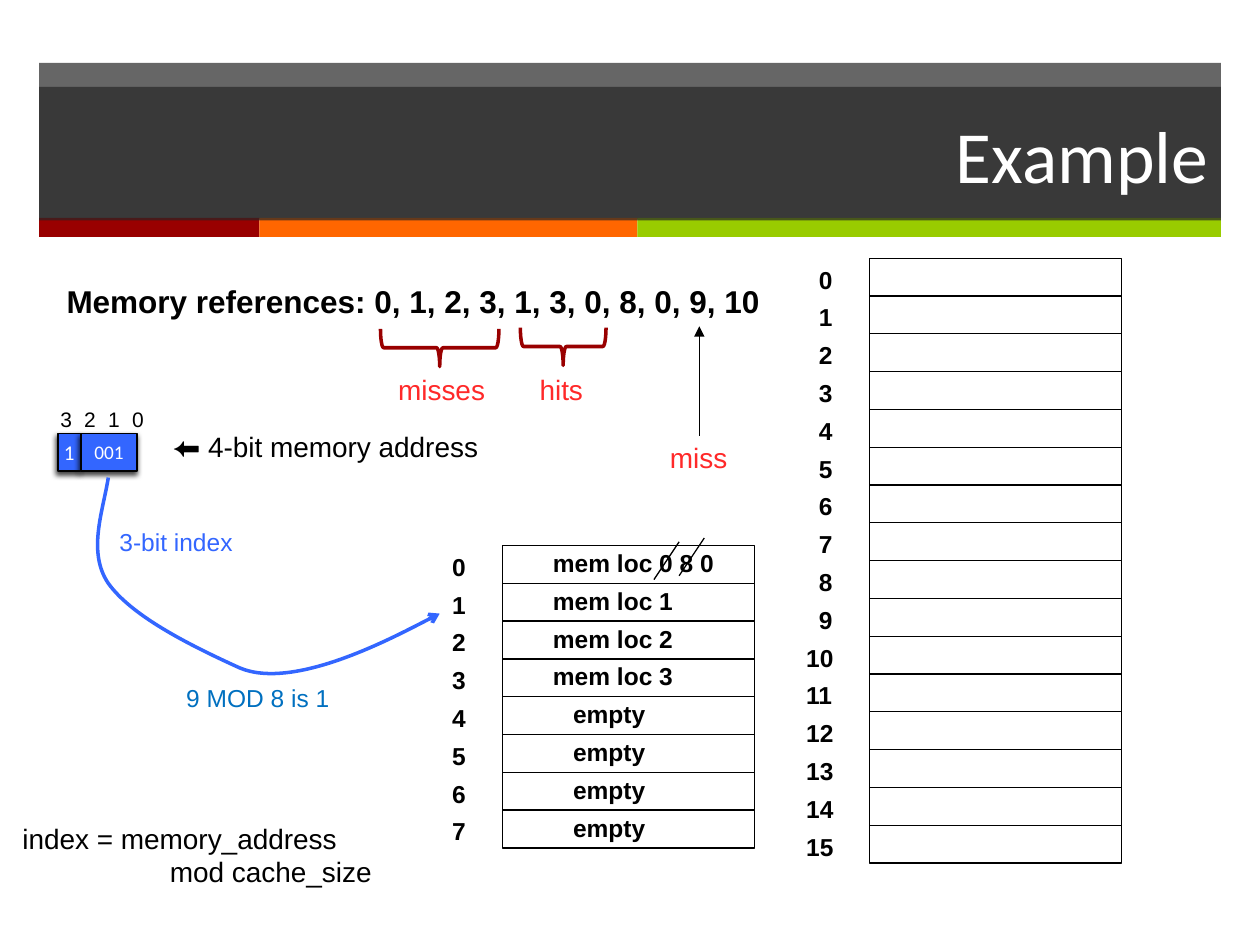
"""Builds the slide that traces memory references through a direct-mapped cache."""
from dataclasses import dataclass

from lxml.etree import SubElement
from pptx import Presentation
from pptx.dml.color import RGBColor
from pptx.enum.shapes import MSO_CONNECTOR, MSO_SHAPE
from pptx.enum.text import MSO_ANCHOR, MSO_AUTO_SIZE, PP_ALIGN
from pptx.oxml.ns import qn
from pptx.util import Inches, Pt

BLACK = RGBColor(0x00, 0x00, 0x00)
WHITE = RGBColor(0xFF, 0xFF, 0xFF)
CHARCOAL = RGBColor(0x26, 0x26, 0x26)
MAROON = RGBColor(0x99, 0x00, 0x00)
ORANGE = RGBColor(0xFF, 0x66, 0x00)
LIME = RGBColor(0x99, 0xCC, 0x00)
RED = RGBColor(0xFF, 0x29, 0x29)
BLUE = RGBColor(0x33, 0x66, 0xFF)
TEAL = RGBColor(0x00, 0x70, 0xC0)

ROW_HEIGHT = 0.3
CELL_WIDTH = 2
CONTENT_WIDTH = 1.5
BIT_PITCH = 0.19


@dataclass
class Label:
    text: str
    left: float
    top: float
    width: float
    size: int = 14
    color: RGBColor = BLACK
    bold: bool = False
    align: PP_ALIGN = PP_ALIGN.LEFT
    wrap: bool = True


@dataclass
class Memory:
    left: float
    top: float
    rows: int


@dataclass
class Box:
    left: float
    top: float
    width: float
    height: float


CACHE = Memory(3.99, 4.33, 8)
MAIN_MEMORY = Memory(6.9, 2.05, 16)
CACHE_CONTENTS = ["mem loc 0 8 0", "mem loc 1", "mem loc 2", "mem loc 3"] + ["empty"] * 4
STRIPES = [(0.31, 1.75, MAROON), (2.06, 3, ORANGE), (5.06, 4.63, LIME)]
BITS = [("1", 0.46, 0.18, 12), ("001", 0.64, 0.45, 11)]
BRACES = [Box(3.34, 2.29, 0.3, 0.94), Box(4.32, 2.41, 0.3, 0.68)]
STRIKES = [(5.19, 4.6), (5.39, 4.57)]
INDEX_CURVE = [(0.86, 3.79), (0.82, 4.05), (0.69, 4.38), (0.86, 4.63), (1.04, 4.88),
               (1.46, 5.1), (1.9, 5.3), (2.34, 5.49), (3.49, 4.87), (3.49, 4.87)]
LABELS = [
    Label("Memory references: 0, 1, 2, 3, 1, 3, 0, 8, 0, 9, 10", 0.43, 2.19, 5.76, 18,
          bold=True, wrap=False),
    Label("misses", 3.02, 2.91, 0.97, 16, RED, align=PP_ALIGN.CENTER),
    Label("hits", 3.97, 2.91, 0.97, 16, RED, align=PP_ALIGN.CENTER),
    Label("miss", 5.06, 3.45, 0.97, 16, RED, align=PP_ALIGN.CENTER),
    Label("⬅ 4-bit memory address", 1.27, 3.36, 3.02, 16),
    Label("3-bit index", 0.85, 4.13, 3.13, color=BLUE),
    Label("9 MOD 8 is 1", 1.38, 5.37, 1.5, color=TEAL),
]


def add_label(shapes, label: Label):
    lines = label.text.split("\n")
    height = len(lines) * label.size * 1.2 / 72 + 0.1
    box = shapes.add_textbox(Inches(label.left), Inches(label.top),
                             Inches(label.width), Inches(height))
    frame = box.text_frame
    frame.word_wrap = label.wrap
    frame.auto_size = MSO_AUTO_SIZE.SHAPE_TO_FIT_TEXT
    frame.text = label.text
    for paragraph in frame.paragraphs:
        paragraph.alignment = label.align
    return box


def set_fonts(frame, size: int, color: RGBColor, name: str = "Arial", bold: bool = False):
    for paragraph in frame.paragraphs:
        paragraph.font.size = Pt(size)
        paragraph.font.name = name
        paragraph.font.bold = bold
        paragraph.font.color.rgb = color


def write(shapes, label: Label):
    box = add_label(shapes, label)
    set_fonts(box.text_frame, label.size, label.color, bold=label.bold)


def add_box(shapes, preset: MSO_SHAPE, box: Box, fill=None, line=None, width: float = 0.75):
    shape = shapes.add_shape(preset, Inches(box.left), Inches(box.top),
                             Inches(box.width), Inches(box.height))
    shape.shadow.inherit = False
    if fill is None:
        shape.fill.background()
    else:
        shape.fill.solid()
        shape.fill.fore_color.rgb = fill
    if line is None:
        shape.line.fill.background()
    else:
        shape.line.color.rgb = line
        shape.line.width = Pt(width)
    return shape


def set_alpha(shape, percent: int):
    color = shape.element.spPr.find(qn("a:solidFill")).find(qn("a:srgbClr"))
    SubElement(color, qn("a:alpha"), val=str(percent * 1000))


def add_arrowhead(shape, kind: str):
    SubElement(shape.element.spPr.find(qn("a:ln")), qn("a:tailEnd"), type=kind)


def add_line(shapes, start: tuple, end: tuple):
    line = shapes.add_connector(MSO_CONNECTOR.STRAIGHT, *map(Inches, start + end))
    line.line.color.rgb = BLACK
    line.line.width = Pt(0.75)
    SubElement(line.element.spPr, qn("a:effectLst"))
    return line


def add_header(slide):
    band = add_box(slide.shapes, MSO_SHAPE.RECTANGLE, Box(0.31, 0.5, 9.38, 1.24), CHARCOAL)
    set_alpha(band, 70)
    for left, width, color in STRIPES:
        add_box(slide.shapes, MSO_SHAPE.RECTANGLE, Box(left, 1.73, width, 0.15), color)
    title = slide.shapes.title
    title.left, title.top, title.width, title.height = map(Inches, (0.31, 0.69, 9.38, 1.06))
    title.fill.solid()
    title.fill.fore_color.rgb = CHARCOAL
    set_alpha(title, 70)
    frame = title.text_frame
    frame.text = "Example"
    frame.auto_size = MSO_AUTO_SIZE.NONE
    frame.vertical_anchor = MSO_ANCHOR.MIDDLE
    frame.paragraphs[0].alignment = PP_ALIGN.RIGHT
    set_fonts(frame, 42, WHITE, "Calibri")
    title.element.getparent().append(title.element)


def add_memory(shapes, memory: Memory):
    for row in range(memory.rows):
        top = memory.top + row * ROW_HEIGHT
        add_box(shapes, MSO_SHAPE.RECTANGLE,
                Box(memory.left, top, CELL_WIDTH, ROW_HEIGHT), line=BLACK)
        offset, width = (0.5, 0.31) if row < 10 else (0.6, 0.62)
        write(shapes, Label(str(row), memory.left - offset, top, width,
                            bold=True, wrap=row >= 10))


def add_address(shapes):
    for bits, left, width, size in BITS:
        field = add_box(shapes, MSO_SHAPE.RECTANGLE, Box(left, 3.44, width, 0.3), BLUE, BLACK, 1)
        shadow = SubElement(field.element.spPr.find(qn("a:effectLst")), qn("a:outerShdw"),
                            blurRad=str(Pt(3)), dist=str(Pt(2)), dir=str(110 * 60000))
        SubElement(SubElement(shadow, qn("a:srgbClr"), val="000000"), qn("a:alpha"), val="75000")
        frame = field.text_frame
        frame.margin_left = frame.margin_right = 0
        frame.vertical_anchor = MSO_ANCHOR.MIDDLE
        frame.text = bits
        frame.paragraphs[0].alignment = PP_ALIGN.CENTER
        set_fonts(frame, size, WHITE, "Calibri")
    positions = add_label(shapes, Label("3\t2\t1\t0", 0.38, 3.18, 1.08, 12)).text_frame
    stops = SubElement(positions.paragraphs[0]._p.get_or_add_pPr(), qn("a:tabLst"))
    for bit in range(1, 4):
        SubElement(stops, qn("a:tab"), pos=str(Inches(bit * BIT_PITCH)), algn="l")
    set_fonts(positions, 12, BLACK)


def add_formula(shapes):
    formula = add_label(shapes, Label("index = memory_address\nmod cache_size",
                                      0.08, 6.47, 3.13, 16)).text_frame
    formula.paragraphs[1]._p.get_or_add_pPr().set("marL", str(Inches(1.17)))
    set_fonts(formula, 16, BLACK)


def add_index_curve(shapes):
    points = [(Inches(x), Inches(y)) for x, y in INDEX_CURVE]
    builder = shapes.build_freeform(*points[0])
    builder.add_line_segments(points[1:], close=False)
    curve = builder.convert_to_shape()
    segments = list(curve.element.iter(qn("a:lnTo")))
    outline = segments[0].getparent()
    for start in range(0, len(segments), 3):
        bezier = SubElement(outline, qn("a:cubicBezTo"))
        for segment in segments[start:start + 3]:
            bezier.append(segment[0])
            outline.remove(segment)
    curve.shadow.inherit = False
    curve.fill.background()
    curve.line.color.rgb = BLUE
    curve.line.width = Pt(2)
    add_arrowhead(curve, "arrow")


def main():
    presentation = Presentation()
    presentation.slide_width, presentation.slide_height = Inches(10), Inches(7.5)
    slide = presentation.slides.add_slide(presentation.slide_layouts[5])
    shapes = slide.shapes
    add_header(slide)
    for memory in (CACHE, MAIN_MEMORY):
        add_memory(shapes, memory)
    for row, content in enumerate(CACHE_CONTENTS):
        left = 4.45 if content == "empty" else 4.29
        write(shapes, Label(content, left, CACHE.top - 0.03 + row * ROW_HEIGHT,
                            CONTENT_WIDTH, bold=True, wrap=False))
    for x, y in STRIKES:
        add_line(shapes, (x, y), (x + 0.2, y - 0.3))
    add_arrowhead(add_line(shapes, (5.55, 3.46), (5.55, 2.59)), "triangle")
    for brace in BRACES:
        add_box(shapes, MSO_SHAPE.LEFT_BRACE, brace, line=MAROON, width=2).rotation = 270
    add_address(shapes)
    add_formula(shapes)
    add_index_curve(shapes)
    for label in LABELS:
        write(shapes, label)
    presentation.save("out.pptx")


if __name__ == "__main__":
    main()
